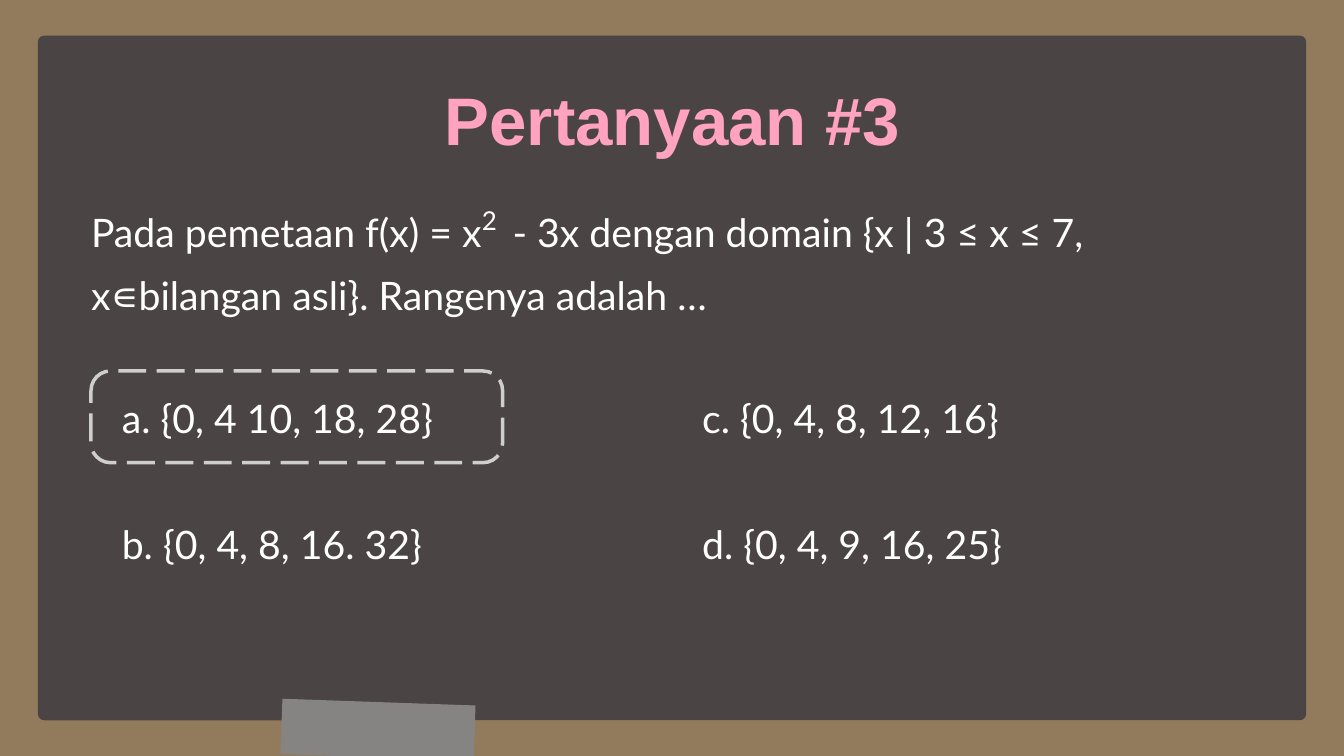
import pptx
import pptx.dml.color
import pptx.enum.dml
import pptx.enum.shapes
import pptx.enum.text
import pptx.util

PX = 9525
SHAPES = pptx.enum.shapes.MSO_SHAPE
ALIGN = pptx.enum.text.PP_ALIGN
BODY = {"name": "Lato", "size": pptx.util.Pt(42)}
TITLE = {"name": "Arial", "size": pptx.util.Pt(72), "bold": True}
EXPONENT = {"name": "Lato", "size": pptx.util.Pt(48)}


def color(fmt, value):
    """Give a fill a solid hex colour."""
    fmt.solid()
    fmt.fore_color.rgb = pptx.dml.color.RGBColor.from_string(value)


def emu(*lengths):
    """Turn px lengths into EMU."""
    return [pptx.util.Emu(n * PX) for n in lengths]


def panel(s, box, fill, radius=0):
    """Add a borderless rectangle with an optional corner radius."""
    kind = SHAPES.ROUNDED_RECTANGLE if radius else SHAPES.RECTANGLE
    sp = s.shapes.add_shape(kind, *emu(*box))
    if radius:
        sp.adjustments[0] = radius / min(box[2:])
    sp.shadow.inherit = False
    color(sp.fill, fill)
    sp.line.fill.background()
    return sp


def add_run(p, text, font, fill="FFFFFF"):
    """Append a formatted run to a paragraph."""
    r = p.add_run()
    r.text = text
    for key, value in font.items():
        setattr(r.font, key, value)
    color(r.font.fill, fill)
    return r


def text_box(s, box, spacing=66.8, align=ALIGN.LEFT):
    """Add a text box without margins and return its paragraph."""
    tf = s.shapes.add_textbox(*emu(*box)).text_frame
    tf.word_wrap = True
    for side in ("left", "top", "right", "bottom"):
        setattr(tf, f"margin_{side}", 0)
    p = tf.paragraphs[0]
    p.line_spacing = pptx.util.Pt(spacing)
    p.alignment = align
    return p


def board(s, x, y, w, h):
    """Draw the blackboard and the tape on its lower edge."""
    panel(s, (x, y, w, h), "4B4444", 9)
    tape = panel(s, (x + 348, y + h - 26, 276, 79), "868383")
    tape.rotation = 2


def question(s, x, y, w, h):
    """Write the question with its squared term."""
    p = text_box(s, (x, y, w, h))
    add_run(p, "Pada pemetaan f(x) = x", BODY)
    r = add_run(p, "2", EXPONENT)
    for key, value in {"baseline": "38000", "spc": "600"}.items():
        r.font._element.set(key, value)
    add_run(p, " - 3x dengan domain {x | 3 ≤ x ≤ 7, "
               "x∊bilangan asli}. Rangenya adalah …", BODY)


def options(s, x, y, w, h):
    """Lay out the answers in two columns and frame the first one."""
    frame = panel(s, (x, y, 588, 131), "4B4444", 28)
    color(frame.line.fill, "CFCECE")
    frame.line.width = pptx.util.Pt(3.75)
    frame.line.dash_style = pptx.enum.dml.MSO_LINE.LONG_DASH
    answers = ["a. {0, 4 10, 18, 28}", "b. {0, 4, 8, 16. 32}",
               "c. {0, 4, 8, 12, 16}", "d. {0, 4, 9, 16, 25}"]
    for i, answer in enumerate(answers):
        col, row = divmod(i, 2)
        left, top = x + 44 + col * 829, y + 11 + row * (h - 95)
        add_run(text_box(s, (left, top, w - 873, 84)), answer, BODY)


def main():
    """Build the slide and save it."""
    prs = pptx.Presentation()
    prs.slide_width, prs.slide_height = emu(1920, 1080)
    s = prs.slides.add_slide(prs.slide_layouts[6])
    color(s.background.fill, "927B5C")
    board(s, 54, 51, 1812, 978)
    title = text_box(s, (248, 93, 1426, 130), 100.8, ALIGN.CENTER)
    add_run(title, "Pertanyaan #3", TITLE, "FFA3C1")
    question(s, 130, 277, 1682, 173)
    options(s, 130, 530, 1415, 276)
    prs.save("out.pptx")


if __name__ == "__main__":
    main()
